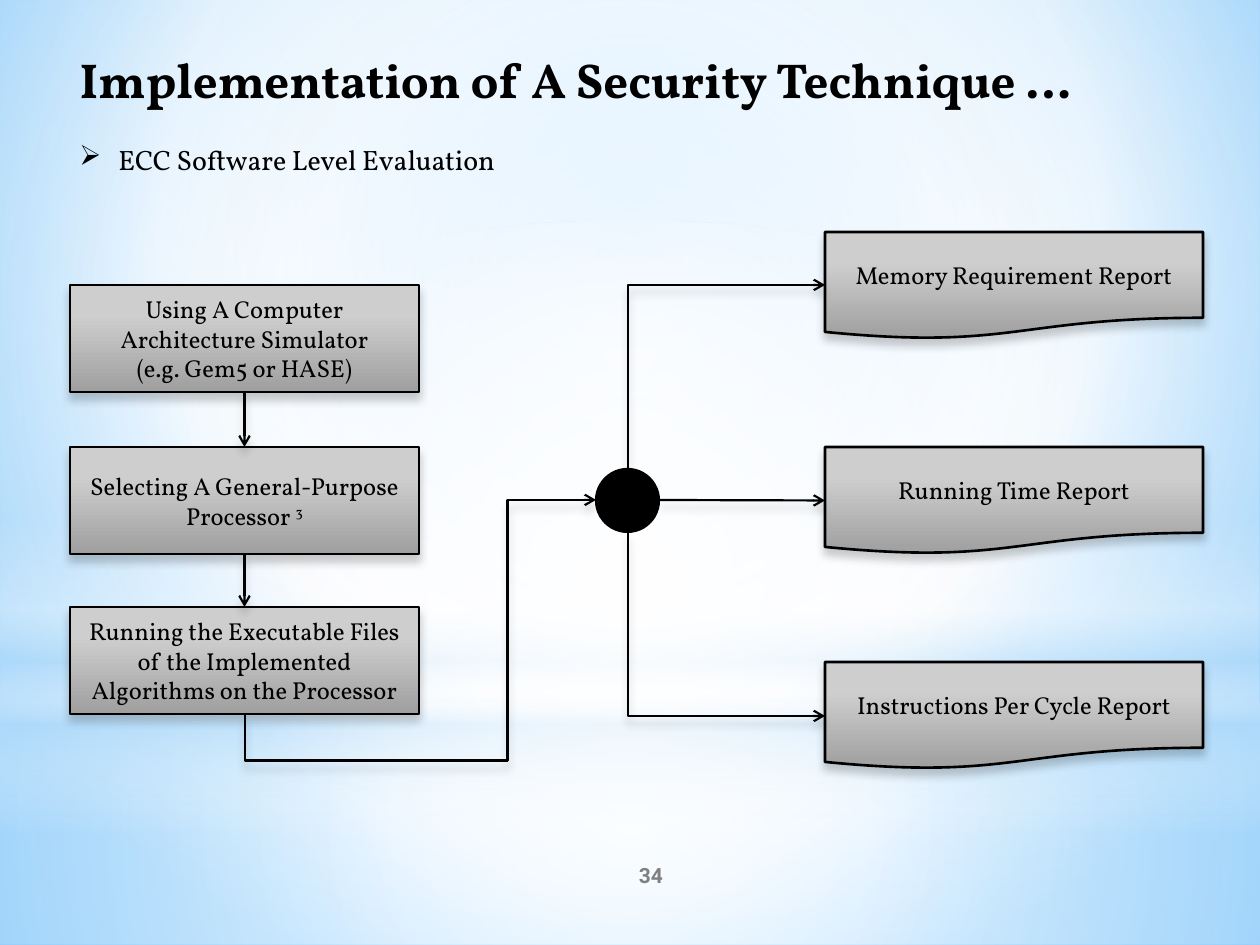
"""Builds the slide on evaluating ECC at software level as a flow of steps and reports."""
import lxml.etree
import pptx
import pptx.util
import pptx.dml.color
import pptx.enum.shapes
import pptx.enum.text
import pptx.oxml.ns

SCALE = 914400 / 126
COLORS = {"ink": "000000", "white": "FFFFFF", "sky": "9ED5FF", "deep": "5BB9FF",
          "haze": "B4DCFA", "light": "CECECE", "dark": "9F9F9F", "number": "808080"}
RGB = {name: pptx.dml.color.RGBColor.from_string(value) for name, value in COLORS.items()}
FONT = "Vollkorn"
SHAPE = pptx.enum.shapes.MSO_SHAPE
LINE = pptx.enum.shapes.MSO_CONNECTOR
ALIGN = pptx.enum.text.PP_ALIGN
ANCHOR = pptx.enum.text.MSO_ANCHOR
qn = pptx.oxml.ns.qn
sub = lxml.etree.SubElement


def px(*lengths):
    return [pptx.util.Emu(round(length * SCALE)) for length in lengths]


def paint_gradient(fill, element, stops, center=None):
    fill.gradient()
    gradient = element.find(".//" + qn("a:gradFill"))
    gradient.clear()
    stop_list = sub(gradient, qn("a:gsLst"))
    for position, color, opacity in stops:
        stop = sub(stop_list, qn("a:gs"), pos=str(position * 1000))
        tone = sub(stop, qn("a:srgbClr"), val=COLORS[color])
        if opacity < 100:
            sub(tone, qn("a:alpha"), val=str(opacity * 1000))
    if center:
        circle = sub(gradient, qn("a:path"), path="circle")
        sub(circle, qn("a:fillToRect"), {side: str(part * 1000) for side, part in zip("ltrb", center)})
    else:
        sub(gradient, qn("a:lin"), ang="5400000", scaled="0")


deck = pptx.Presentation()
deck.slide_width, deck.slide_height = px(1260, 945)
slide = deck.slides.add_slide(deck.slide_layouts[5])
shapes = slide.shapes
paint_gradient(slide.background.fill, slide.element,
               [(0, "sky", 100), (60, "white", 100), (100, "deep", 100)], (20, 10, 20, 60))

middle = (50, 50, 50, 50)
glows = [
    (SHAPE.RECTANGLE, 703, 242, [(0, "white", 91), (37, "white", 76), (100, "haze", 79)], middle),
    (SHAPE.RECTANGLE, 0, 703, [(0, "white", 89), (48, "white", 62), (100, "haze", 79)], middle),
    (SHAPE.RECTANGLE, 519, 315, [(0, "white", 0), (29, "white", 30), (45, "haze", 40),
                                 (55, "white", 26), (65, "haze", 60), (100, "white", 0)], None),
    (SHAPE.OVAL, 221, 703, [(0, "white", 100), (56, "white", 0)], middle),
]
for kind, top, height, stops, center in glows:
    glow = shapes.add_shape(kind, *px(0, top, 1260, height))
    glow.shadow.inherit = False
    glow.line.fill.background()
    paint_gradient(glow.fill, glow.element, stops, center)

title = shapes.title
shapes.element.append(title.element)
title.left, title.top, title.width, title.height = px(67, 43, 1129, 72)
subtitle = shapes.add_textbox(*px(67, 136, 1129, 48))
page_number = shapes.add_textbox(*px(525, 850, 252, 50))
captions = [
    (title, "Implementation of A Security Technique …", 28, FONT, "ink", True, ALIGN.LEFT, ANCHOR.TOP),
    (subtitle, "ECC Software Level Evaluation", 16, FONT, "ink", False, ALIGN.LEFT, ANCHOR.TOP),
    (page_number, "34", 12, "Roboto", "number", True, ALIGN.CENTER, ANCHOR.MIDDLE),
]
for caption, text, size, font, color, bold, align, anchor in captions:
    frame = caption.text_frame
    frame.word_wrap = True
    frame.auto_size = pptx.enum.text.MSO_AUTO_SIZE.NONE
    frame.vertical_anchor = anchor
    paragraph = frame.paragraphs[0]
    paragraph.alignment = align
    run = paragraph.add_run()
    run.text = text
    run.font.size, run.font.name, run.font.bold = pptx.util.Pt(size), font, bold
    run.font.color.rgb = RGB[color]

indent = px(39)[0]
bullet = subtitle.text_frame.paragraphs[0]._p.get_or_add_pPr()
bullet.set("marL", str(indent))
bullet.set("indent", str(-indent))
sub(bullet, qn("a:buChar"), char="➢")

step, report = SHAPE.FLOWCHART_PROCESS, SHAPE.FLOWCHART_DOCUMENT
nodes = [
    (step, 70, 285, 349, [[("Using A Computer Architecture Simulator", 0)], [("(e.g. Gem5 or HASE)", 0)]]),
    (step, 70, 447, 349, [[("Selecting A General-Purpose Processor ", 0), ("3", 30)]]),
    (step, 70, 607, 349, [[("Running the Executable Files of the Implemented Algorithms on the Processor", 0)]]),
    (report, 825, 232, 378, [[("Memory Requirement Report", 0)]]),
    (report, 825, 447, 378, [[("Running Time Report", 0)]]),
    (report, 825, 662, 378, [[("Instructions Per Cycle Report", 0)]]),
]
placed, shaded = [], []
for kind, left, top, width, paragraphs in nodes:
    node = shapes.add_shape(kind, *px(left, top, width, 107))
    node.shadow.inherit = False
    paint_gradient(node.fill, node.element, [(28, "light", 100), (100, "dark", 100)])
    node.line.color.rgb = RGB["ink"]
    node.line.width = pptx.util.Pt(1.5)
    frame = node.text_frame
    frame.vertical_anchor = ANCHOR.MIDDLE
    for index, runs in enumerate(paragraphs):
        paragraph = frame.add_paragraph() if index else frame.paragraphs[0]
        paragraph.alignment = ALIGN.CENTER
        for text, raised in runs:
            run = paragraph.add_run()
            run.text = text
            run.font.size, run.font.name = pptx.util.Pt(14), FONT
            run.font.color.rgb = RGB["ink"]
            if raised:
                run.font._element.set("baseline", str(raised * 1000))
    placed.append(node)
    shaded.append(node.element.spPr.find(qn("a:effectLst")))
simulator, processor, execution, memory, timing, instructions = placed

hub = shapes.add_shape(SHAPE.FLOWCHART_CONNECTOR, *px(596, 469, 63, 63))
hub.shadow.inherit = False
hub.fill.solid()
hub.fill.fore_color.rgb = RGB["ink"]
hub.line.color.rgb = RGB["ink"]
hub.line.width = pptx.util.Pt(1.25)

arrows = []
for source, target in [(simulator, processor), (processor, execution), (None, timing)]:
    arrow = shapes.add_connector(LINE.STRAIGHT, *px(659, 500, 825, 500))
    if source:
        arrow.begin_connect(source, 2)
    arrow.end_connect(target, 0 if source else 1)
    arrows.append(arrow)

elbows = [
    ("bentConnector4", (245, 714), (596, 500), 90, {"adj1": -21800, "adj2": 74800}),
    ("bentConnector2", (628, 469), (825, 285), 90, {}),
    ("bentConnector2", (628, 532), (825, 716), 270, {}),
]
for preset, (x1, y1), (x2, y2), turn, adjustments in elbows:
    across, down = x2 - x1, abs(y2 - y1)
    left, top = (x1 + x2 - down) / 2, (y1 + y2 - across) / 2
    elbow = shapes.add_connector(LINE.ELBOW, *px(left, top, left + down, top + across))
    frame = elbow.element.spPr.find(qn("a:xfrm"))
    frame.set("rot", str(turn * 60000))
    frame.set("flipH", "1")
    if turn == 90:
        frame.set("flipV", "1")
    geometry = elbow.element.spPr.find(qn("a:prstGeom"))
    geometry.set("prst", preset)
    guides = geometry.find(qn("a:avLst"))
    for guide, value in adjustments.items():
        sub(guides, qn("a:gd"), name=guide, fmla=f"val {value}")
    arrows.append(elbow)

for arrow in arrows:
    arrow.line.color.rgb = RGB["ink"]
    arrow.line.width = pptx.util.Pt(1.25)
    sub(arrow.line._get_or_add_ln(), qn("a:tailEnd"), type="arrow")
    shaded.append(sub(arrow.element.spPr, qn("a:effectLst")))

for effects in shaded:
    shadow = sub(effects, qn("a:outerShdw"), blurRad=str(pptx.util.Pt(5)), dist=str(pptx.util.Pt(4)),
                 dir="5400000", rotWithShape="0")
    tone = sub(shadow, qn("a:srgbClr"), val=COLORS["ink"])
    sub(tone, qn("a:alpha"), val="20000")

deck.save("out.pptx")
